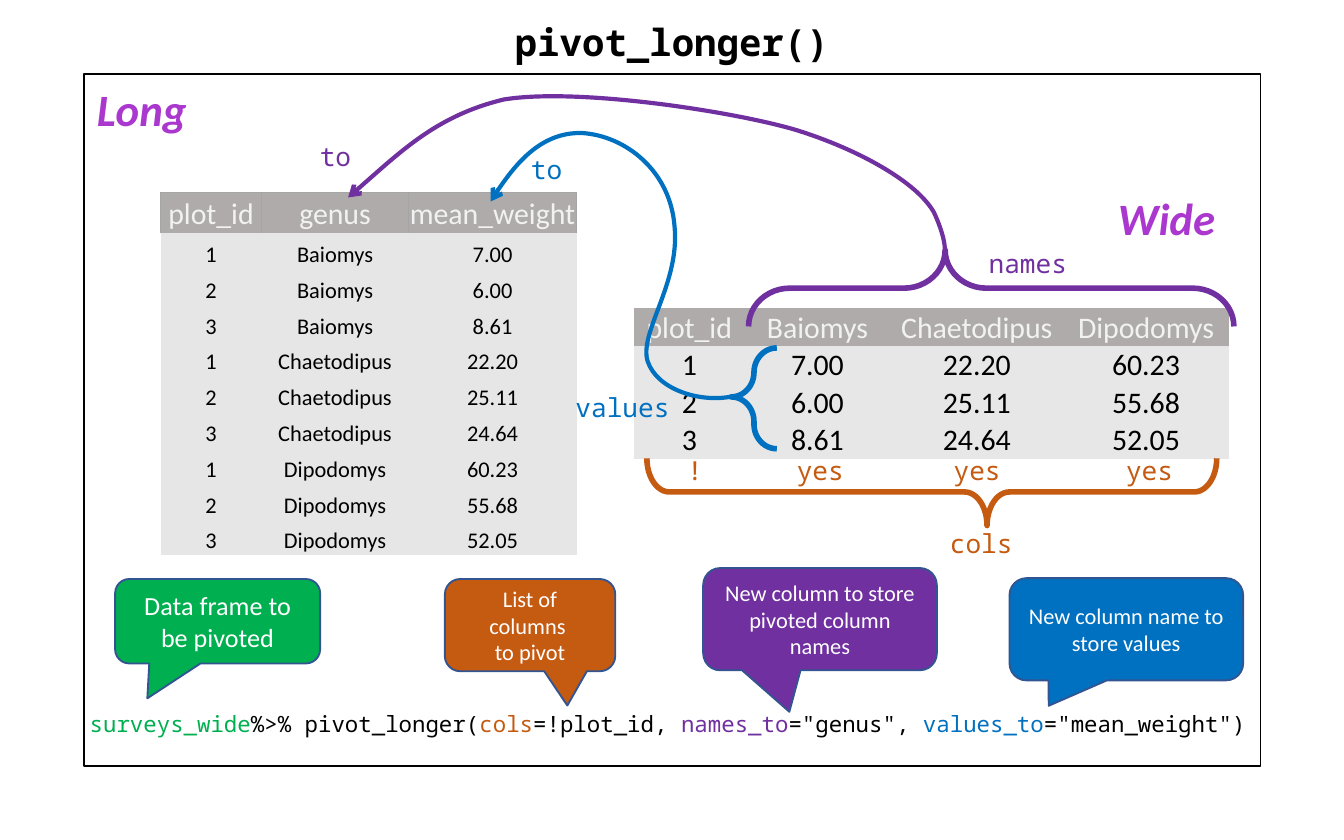
from dataclasses import dataclass
from typing import NamedTuple

from lxml.etree import SubElement
from pptx import Presentation
from pptx.dml.color import RGBColor
from pptx.enum.shapes import MSO_SHAPE
from pptx.enum.text import MSO_ANCHOR, PP_ALIGN
from pptx.oxml import parse_xml
from pptx.oxml.ns import nsdecls, qn
from pptx.util import Pt

BLACK = RGBColor(0x00, 0x00, 0x00)
WHITE = RGBColor(0xFF, 0xFF, 0xFF)
GREEN = RGBColor(0x00, 0xB0, 0x50)
ORANGE = RGBColor(0xC5, 0x5A, 0x11)
PURPLE = RGBColor(0x70, 0x30, 0xA0)
BLUE = RGBColor(0x00, 0x70, 0xC0)
VIOLET = RGBColor(0xAA, 0x37, 0xCE)
OUTLINE = RGBColor(0x32, 0x54, 0x91)
HEADER_TEXT = RGBColor(0xF2, 0xF2, 0xF2)
HEADER_FILL = RGBColor(0xAF, 0xAB, 0xAB)
HEADER_EDGE = RGBColor(0xA5, 0xA5, 0xA5)
LONG_FILL = RGBColor(0xE7, 0xE6, 0xE6)
WIDE_FILL = RGBColor(0xE7, 0xE7, 0xE7)
SANS, MONO = "Calibri", "Noto Sans Mono"
NO_STYLE = "{2D5ABB26-0587-4C30-8999-92F81FD0307C}"


class Box(NamedTuple):
    x: float
    y: float
    w: float
    h: float

    def emu(self) -> list:
        return [Pt(v) for v in self]


@dataclass
class Label:
    box: Box
    runs: list
    size: float = 14
    font: str = MONO
    bold: bool = False
    italic: bool = False
    align: PP_ALIGN = PP_ALIGN.LEFT
    tabs: tuple = ()


@dataclass
class Callout:
    box: Box
    text: str
    fill: RGBColor
    tip: tuple
    size: float = 12


@dataclass
class Brace:
    box: Box
    color: RGBColor
    adj: tuple
    rotation: float = 0


@dataclass
class Curve:
    box: Box
    start: tuple
    segments: list
    color: RGBColor


@dataclass
class DataTable:
    box: Box
    widths: list
    header_height: float
    row_height: float
    rows: list
    fill: RGBColor
    size: float
    edged: bool = False


def style_run(r, size: float, font: str, color: RGBColor) -> None:
    r.font.size, r.font.name = Pt(size), font
    r.font.color.rgb = color


def add_label(slide, label: Label) -> None:
    tf = slide.shapes.add_textbox(*label.box.emu()).text_frame
    tf.word_wrap = True
    p = tf.paragraphs[0]
    p.alignment = label.align
    for text, color in label.runs:
        r = p.add_run()
        r.text = text
        style_run(r, label.size, label.font, color)
        r.font.bold, r.font.italic = label.bold, label.italic
    if label.tabs:
        tab_list = SubElement(p._p.get_or_add_pPr(), qn("a:tabLst"))
        for pos in label.tabs:
            SubElement(tab_list, qn("a:tab"), pos=str(Pt(pos)), algn="l")


def outline(sp, color: RGBColor, width: float) -> None:
    sp.shadow.inherit = False
    sp.line.color.rgb = color
    sp.line.width = Pt(width)


def add_callout(slide, callout: Callout) -> None:
    sp = slide.shapes.add_shape(MSO_SHAPE.ROUNDED_RECTANGULAR_CALLOUT, *callout.box.emu())
    outline(sp, OUTLINE, 1)
    sp.fill.solid()
    sp.fill.fore_color.rgb = callout.fill
    sp.adjustments[0], sp.adjustments[1] = callout.tip
    tf = sp.text_frame
    tf.text = callout.text
    tf.word_wrap = True
    tf.vertical_anchor = MSO_ANCHOR.MIDDLE
    for p in tf.paragraphs:
        p.alignment = PP_ALIGN.CENTER
        style_run(p.runs[0], callout.size, SANS, WHITE)


def add_brace(slide, brace: Brace) -> None:
    sp = slide.shapes.add_shape(MSO_SHAPE.LEFT_BRACE, *brace.box.emu())
    outline(sp, brace.color, 3)
    sp.fill.background()
    sp.adjustments[0], sp.adjustments[1] = brace.adj
    sp.rotation = brace.rotation


def add_curve(slide, curve: Curve) -> None:
    box = curve.box
    builder = slide.shapes.build_freeform(*[Pt(v) for v in curve.start])
    builder.add_line_segments([(Pt(s[4]), Pt(s[5])) for s in curve.segments], close=False)
    sp = builder.convert_to_shape()
    sp.left, sp.top, sp.width, sp.height = box.emu()
    geometry = next(sp._element.iter(qn("a:path")))
    geometry.set("w", str(sp.width))
    geometry.set("h", str(sp.height))
    for node in list(geometry):
        geometry.remove(node)
    for tag, coords in [("a:moveTo", curve.start), *[("a:cubicBezTo", s) for s in curve.segments]]:
        node = SubElement(geometry, qn(tag))
        for x, y in zip(coords[::2], coords[1::2]):
            SubElement(node, qn("a:pt"), x=str(Pt(x - box.x)), y=str(Pt(y - box.y)))
    outline(sp, curve.color, 2.25)
    sp.fill.background()
    SubElement(sp.line._get_or_add_ln(), qn("a:tailEnd"), type="arrow")


def add_data_table(slide, data: DataTable) -> None:
    frame = slide.shapes.add_table(len(data.rows), len(data.widths), *data.box.emu())
    table = frame.table
    table.first_row = table.horz_banding = False
    table._tbl.tblPr.find(qn("a:tableStyleId")).text = NO_STYLE
    for col, width in zip(table.columns, data.widths):
        col.width = Pt(width)
    for i, values in enumerate(data.rows):
        table.rows[i].height = Pt(data.row_height if i else data.header_height)
        for j, value in enumerate(values):
            cell = table.cell(i, j)
            cell.text = value
            cell.vertical_anchor = MSO_ANCHOR.BOTTOM
            cell.margin_left = cell.margin_right = cell.margin_top = Pt(0.5)
            cell.margin_bottom = 0
            cell.fill.solid()
            cell.fill.fore_color.rgb = data.fill if i else HEADER_FILL
            p = cell.text_frame.paragraphs[0]
            p.alignment = PP_ALIGN.CENTER
            style_run(p.runs[0], data.size if i else 16, SANS, BLACK if i else HEADER_TEXT)
            if data.edged and i == 0:
                for k, side in enumerate(("lnL", "lnR", "lnT")):
                    cell._tc.get_or_add_tcPr().insert(k, parse_xml(
                        f'<a:{side} {nsdecls("a")} w="{Pt(0.5)}"><a:solidFill>'
                        f'<a:srgbClr val="{HEADER_EDGE}"/></a:solidFill></a:{side}>'))


GENERA = {
    "Baiomys": ["7.00", "6.00", "8.61"],
    "Chaetodipus": ["22.20", "25.11", "24.64"],
    "Dipodomys": ["60.23", "55.68", "52.05"],
}
PLOTS = ["1", "2", "3"]
long_rows = [["plot_id", "genus", "mean_weight"]]
long_rows += [[plot, genus, w] for genus, ws in GENERA.items() for plot, w in zip(PLOTS, ws)]
wide_rows = [["plot_id", *GENERA], *zip(PLOTS, *GENERA.values())]

TABLES = [
    DataTable(Box(86, 103, 223, 194.4), [54.2, 78.6, 90.2], 21.6, 19.2, long_rows, LONG_FILL, 12, True),
    DataTable(Box(339.8, 165, 318.6, 80.4), [59, 78.3, 92.5, 88.8], 20.6, 18.7, wide_rows, WIDE_FILL, 16),
]
CALLOUTS = [
    Callout(Box(61.7, 310.2, 109.8, 45.2), "Data frame to be pivoted", GREEN, (-0.343, 0.914), 14),
    Callout(Box(376.7, 304.3, 125.2, 54.8), "New column to store pivoted column names", PURPLE, (-0.131, 0.906)),
    Callout(Box(540.8, 309.7, 125.2, 54.8), "New column name to store values", BLUE, (-0.332, 0.748)),
    Callout(Box(238.3, 310.2, 91.3, 49.4), "List of columns \nto pivot", ORANGE, (0.219, 0.872)),
]
BRACES = [
    Brace(Box(510.5, 24.4, 41, 260), PURPLE, (0.539, 0.595), 90),
    Brace(Box(391.7, 186.4, 24.5, 54), BLUE, (0.539, 0.486)),
    Brace(Box(481.2, 110.9, 36, 305.3), ORANGE, (0.334, 0.597), 270),
]
CURVES = [
    Curve(Box(186.5, 51.1, 319.7, 85), (506.9, 136.1), [
        (505.4, 135.4, 508.3, 131, 500.4, 113.8), (491, 97.2, 459.4, 79.9, 427, 69.8),
        (393.8, 59.8, 309.6, 46.8, 270, 53.3), (234, 61.9, 211.7, 84.2, 186.5, 105.8)], PURPLE),
    Curve(Box(262.8, 71.3, 130.3, 141.8), (392.4, 212.4), [
        (375.1, 216, 352.1, 208.8, 347, 193.7), (342, 178.6, 364.3, 151.9, 361.4, 121.7),
        (359.3, 91.4, 334.8, 72.7, 311.8, 71.3), (288.7, 70.6, 268.6, 97.9, 262.8, 108)], BLUE),
]
CODE = [("surveys_wide", GREEN), ("%>% pivot_longer(", BLACK), ("cols", ORANGE), ("=!plot_id, ", BLACK),
        ("names_to", PURPLE), ('="genus", ', BLACK), ("values_to", BLUE), ('="mean_weight")', BLACK)]
LABELS = [
    Label(Box(44.8, 40.3, 63.4, 36), [("Long", VIOLET)], 24, SANS, True, True),
    Label(Box(591.8, 98.6, 82.8, 36), [("Wide", VIOLET)], 24, SANS, True, True),
    Label(Box(41, 376.9, 653, 36), CODE, 12),
    Label(Box(164.2, 71.5, 101.5, 24.5), [("to", PURPLE)]),
    Label(Box(301.2, 205.9, 132.5, 24.5), [("values", BLUE)]),
    Label(Box(522.5, 128.9, 101.5, 24.5), [("names", PURPLE)]),
    Label(Box(501.8, 279.2, 132.5, 24.5), [("cols", ORANGE)]),
    Label(Box(361, 239.8, 288.5, 24.5), [("!\tyes\tyes\tyes", ORANGE)], tabs=(58.8, 142.8, 235.2)),
    Label(Box(277.4, 78.5, 132.5, 24.5), [("to", BLUE)]),
    Label(Box(248.4, 6.5, 223.2, 31.7), [("pivot_longer()", BLACK)], 20, bold=True, align=PP_ALIGN.CENTER),
]

prs = Presentation()
prs.slide_width, prs.slide_height = Pt(720), Pt(450)
slide = prs.slides.add_slide(prs.slide_layouts[6])
panel = slide.shapes.add_shape(MSO_SHAPE.RECTANGLE, *Box(44.8, 39.6, 630.5, 370.8).emu())
outline(panel, BLACK, 1)
panel.fill.background()
for draw, items in ((add_data_table, TABLES), (add_callout, CALLOUTS), (add_brace, BRACES),
                    (add_curve, CURVES), (add_label, LABELS)):
    for item in items:
        draw(slide, item)
prs.save("out.pptx")
